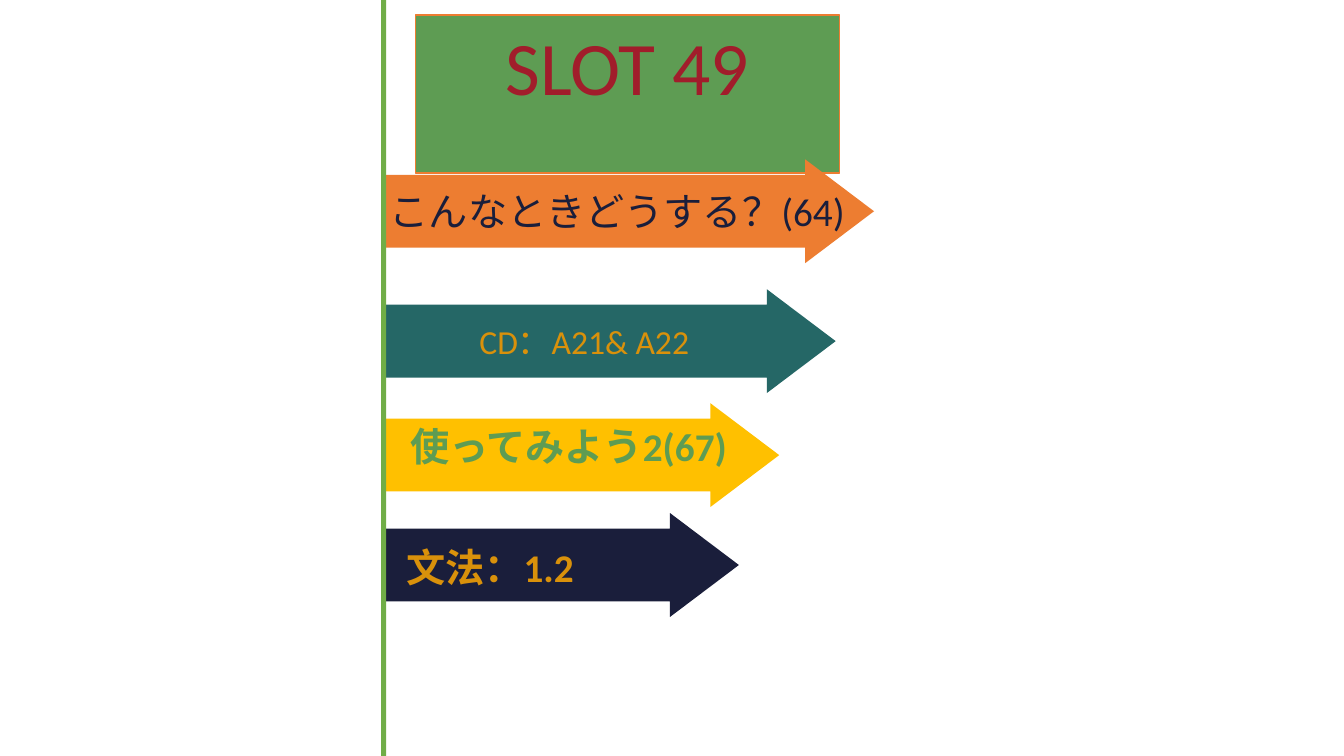
from pptx import Presentation
from pptx.dml.color import RGBColor
from pptx.enum.shapes import MSO_SHAPE
from pptx.enum.text import MSO_ANCHOR, MSO_AUTO_SIZE, PP_ALIGN
from pptx.util import Pt

RECTANGLE = MSO_SHAPE.RECTANGLE
RIGHT_ARROW = MSO_SHAPE.RIGHT_ARROW
TOP, MIDDLE = MSO_ANCHOR.TOP, MSO_ANCHOR.MIDDLE
LEFT, CENTER = PP_ALIGN.LEFT, PP_ALIGN.CENTER
FIT_SHAPE = MSO_AUTO_SIZE.SHAPE_TO_FIT_TEXT
NO_FIT = MSO_AUTO_SIZE.NONE
TITLE_ONLY = 5

FONT = "Calibri"
ARROW_HEIGHT = 74.2
COLORS = {
    "green": "5E9C53",
    "bar": "70AD47",
    "orange": "ED7D31",
    "teal": "256766",
    "yellow": "FFC000",
    "navy": "1A1E3B",
    "gold": "D9910B",
    "red": "A11D2B",
}


def color(name):
    return RGBColor.from_string(COLORS[name])


def write_text(shape, text, size=28, ink="navy", bold=False, align=LEFT,
               anchor=TOP, fit=FIT_SHAPE):
    frame = shape.text_frame
    frame.word_wrap = True
    frame.auto_size = fit
    frame.vertical_anchor = anchor
    para = frame.paragraphs[0]
    para.alignment = align
    span = para.add_run()
    span.text = text
    span.font.name = FONT
    span.font.size = Pt(size)
    span.font.bold = bold
    span.font.color.rgb = color(ink)


def add_block(page, kind, left, top, width, height, fill):
    block = page.shapes.add_shape(kind, Pt(left), Pt(top), Pt(width), Pt(height))
    block.shadow.inherit = False
    block.fill.solid()
    block.fill.fore_color.rgb = color(fill)
    block.line.fill.background()
    return block


def add_arrow(page, left, top, width, fill):
    arrow = add_block(page, RIGHT_ARROW, left, top, width, ARROW_HEIGHT, fill)
    arrow.adjustments[0] = 0.701
    arrow.adjustments[1] = 0.663
    return arrow


def add_label(page, left, top, width, text, **style):
    box = page.shapes.add_textbox(Pt(left), Pt(top), Pt(width), Pt(41))
    write_text(box, text, **style)


def format_title(page):
    title = page.shapes.title
    title.left, title.top = Pt(296.6), Pt(10.8)
    title.width, title.height = Pt(303.1), Pt(72.7)
    title.fill.solid()
    title.fill.fore_color.rgb = color("green")
    title.line.color.rgb = color("orange")
    title.line.width = Pt(1)
    write_text(title, "SLOT 49", size=54, ink="red", align=CENTER)


def main():
    deck = Presentation()
    deck.slide_width, deck.slide_height = Pt(960), Pt(540)
    page = deck.slides.add_slide(deck.slide_layouts[TITLE_ONLY])
    format_title(page)

    add_arrow(page, 272.2, 113.8, 352.1, "orange")
    disc_arrow = add_arrow(page, 272.2, 206.6, 324.7, "teal")
    write_text(disc_arrow, "CD：A21& A22", size=24, ink="gold",
               align=CENTER, anchor=MIDDLE, fit=NO_FIT)
    add_arrow(page, 275.8, 288, 280.8, "yellow")
    add_arrow(page, 275.8, 366.5, 252, "navy")
    add_block(page, RECTANGLE, 272.2, 0, 3.6, 540, "bar")

    add_label(page, 271.4, 130.3, 427.7, "こんなときどうする？(64)")
    add_label(page, 285.8, 298.1, 324.7, "使ってみよう2(67)", ink="green", bold=True)
    add_label(page, 283, 384.5, 234, "文法：1.2", ink="gold", bold=True)
    deck.save("out.pptx")


if __name__ == "__main__":
    main()
